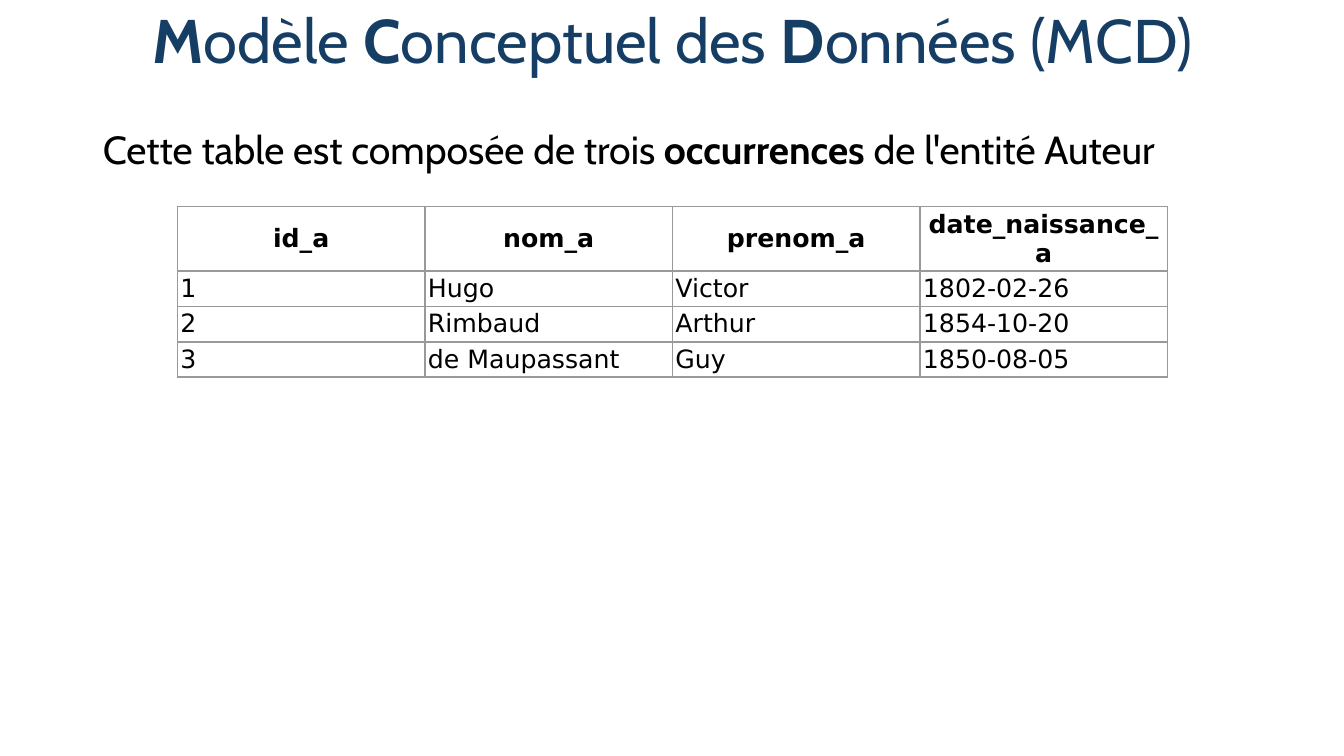
from lxml import etree
from pptx import Presentation
from pptx.dml.color import RGBColor
from pptx.enum.text import MSO_ANCHOR, MSO_AUTO_SIZE, PP_ALIGN
from pptx.oxml.ns import qn
from pptx.util import Inches, Pt

MIDDLE, TOP = MSO_ANCHOR.MIDDLE, MSO_ANCHOR.TOP
CENTER, LEFT, JUSTIFY = PP_ALIGN.CENTER, PP_ALIGN.LEFT, PP_ALIGN.JUSTIFY
NO_FIT = MSO_AUTO_SIZE.NONE
NAVY, BLACK, WHITE, GREY = "163E64", "000000", "FFFFFF", "999999"


def color(hex_value):
    return RGBColor.from_string(hex_value)


def write(paragraph, pieces, font_name, size, hex_value):
    for text, bold in pieces:
        run = paragraph.add_run()
        run.text = text
        for name, value in {"name": font_name, "size": Pt(size), "bold": bold}.items():
            setattr(run.font, name, value)
        run.font.color.rgb = color(hex_value)


deck = Presentation()
deck.slide_width, deck.slide_height = Inches(13.33), Inches(7.5)
slide = deck.slides.add_slide(deck.slide_layouts[1])
heading, statement = slide.placeholders

statement_format = statement.text_frame.paragraphs[0]._p.get_or_add_pPr()
statement_format.set("marL", "0")
statement_format.set("indent", "0")
etree.SubElement(statement_format, qn("a:buNone"))

heading_pieces = [
    ("M", True), ("odèle ", False), ("C", True), ("onceptuel des ", False),
    ("D", True), ("onnées (MCD)", False),
]
statement_pieces = [
    ("Cette table est composée de trois ", False), ("occurrences", True),
    (" de l'entité Auteur", False),
]
for holder, top, height, anchor, alignment, pieces, size, hex_value in [
    (heading, -0.29, 1.45, MIDDLE, CENTER, heading_pieces, 44, NAVY),
    (statement, 1.25, 5.36, TOP, LEFT, statement_pieces, 28, BLACK),
]:
    place = {"left": 0.92, "top": top, "width": 11.5, "height": height}
    for side, length in place.items():
        setattr(holder, side, Inches(length))
    frame_format = {"word_wrap": True, "auto_size": NO_FIT, "vertical_anchor": anchor}
    for name, value in frame_format.items():
        setattr(holder.text_frame, name, value)
    paragraph = holder.text_frame.paragraphs[0]
    paragraph_format = {"alignment": alignment, "line_spacing": 0.9, "space_before": Pt(0)}
    for name, value in paragraph_format.items():
        setattr(paragraph, name, value)
    write(paragraph, pieces, "Cabin", size, hex_value)

authors = [
    ["id_a", "nom_a", "prenom_a", "date_naissance_a"],
    ["1", "Hugo", "Victor", "1802-02-26"],
    ["2", "Rimbaud", "Arthur", "1854-10-20"],
    ["3", "de Maupassant", "Guy", "1850-08-05"],
]
author_table = slide.shapes.add_table(
    len(authors), len(authors[0]), Inches(1.76), Inches(2.05), Inches(9.82), Inches(1.66)
).table
author_table.horz_banding = False

cell_format = {"vertical_anchor": MIDDLE}
for side in ("left", "right", "top", "bottom"):
    cell_format[f"margin_{side}"] = Inches(0.03)

for row_index, author in enumerate(authors):
    is_header = row_index == 0
    author_table.rows[row_index].height = Inches(0.64 if is_header else 0.34)
    for column_index, entry in enumerate(author):
        cell = author_table.cell(row_index, column_index)
        for name, value in cell_format.items():
            setattr(cell, name, value)
        cell_properties = cell._tc.get_or_add_tcPr()
        for edge in ("a:lnL", "a:lnR", "a:lnT", "a:lnB"):
            border = etree.SubElement(cell_properties, qn(edge), w=str(Pt(1.2)))
            border_fill = etree.SubElement(border, qn("a:solidFill"))
            etree.SubElement(border_fill, qn("a:srgbClr"), val=GREY)
        cell.fill.solid()
        cell.fill.fore_color.rgb = color(WHITE)
        paragraph = cell.text_frame.paragraphs[0]
        paragraph.alignment = CENTER if is_header else JUSTIFY
        write(paragraph, [(entry, is_header)], "DejaVu Sans", 18, BLACK)

deck.save("out.pptx")
